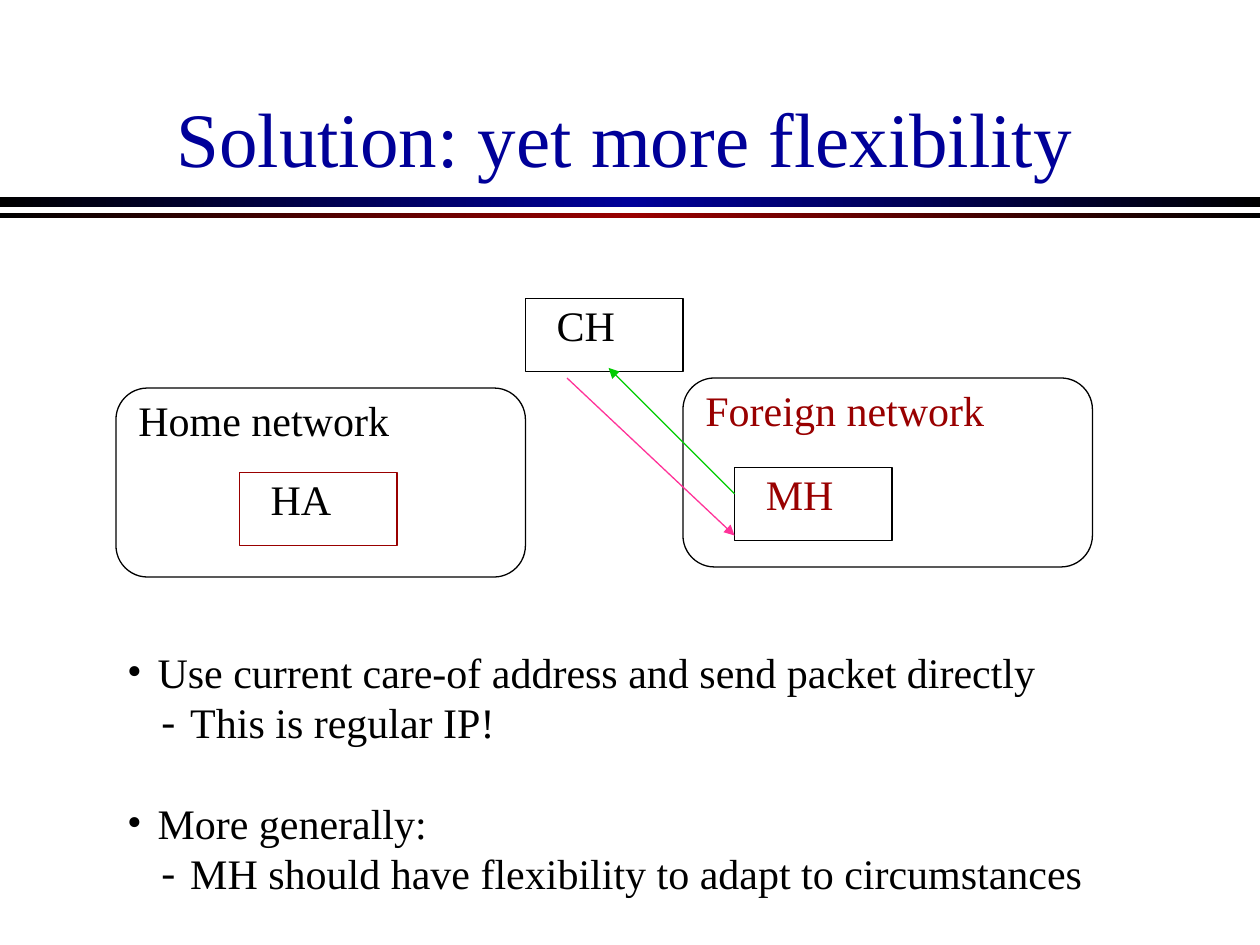
import copy

import lxml.etree
import pptx
import pptx.dml.color
import pptx.enum.shapes
import pptx.enum.text
import pptx.oxml.ns
import pptx.util

Inches = pptx.util.Inches
Pt = pptx.util.Pt
RGBColor = pptx.dml.color.RGBColor
Kind = pptx.enum.shapes.MSO_SHAPE
Align = pptx.enum.text.PP_ALIGN
Anchor = pptx.enum.text.MSO_ANCHOR
Fit = pptx.enum.text.MSO_AUTO_SIZE
qn = pptx.oxml.ns.qn

BLACK = RGBColor(0x00, 0x00, 0x00)
NAVY = RGBColor(0x00, 0x00, 0x99)
RED = RGBColor(0x99, 0x00, 0x00)
PINK = RGBColor(0xFF, 0x33, 0x99)
GREEN = RGBColor(0x00, 0xCC, 0x00)


class Deck:
    """Holds the style and the current slide."""

    font = "Times New Roman"
    size = 24
    pitch = 28.8
    levels = (("•", 0.24, 0.24), ("-", 0.5, 0.23))

    def __init__(self):
        self.show = pptx.Presentation()
        self.show.slide_width = Inches(10)
        self.show.slide_height = Inches(7.5)
        self.slide = self.show.slides.add_slide(self.show.slide_layouts[1])

    def place(self, shape, x, y, w, h):
        shape.left, shape.top = Inches(x), Inches(y)
        shape.width, shape.height = Inches(w), Inches(h)

    def run(self, para, text, color=BLACK, size=size):
        run = para.add_run()
        run.text = text
        run.font.name = self.font
        run.font.size = Pt(size)
        run.font.color.rgb = color

    def title(self, text):
        shape = self.slide.shapes.title
        self.place(shape, 0.67, 0.25, 8.58, 1.25)
        frame = shape.text_frame
        frame.auto_size = Fit.NONE
        frame.vertical_anchor = Anchor.BOTTOM
        para = frame.paragraphs[0]
        para.alignment = Align.CENTER
        self.run(para, text, NAVY, 44)

    def band(self, y, h, color):
        shape = self.slide.shapes.add_shape(
            Kind.RECTANGLE, 0, Inches(y), self.show.slide_width, Inches(h))
        shape.shadow.inherit = False
        shape.line.fill.background()
        shape.fill.gradient()
        shape.fill.gradient_angle = 0
        stops = shape._element.spPr.find(".//" + qn("a:gsLst"))
        stops.append(copy.deepcopy(stops[0]))
        tones = (BLACK, color, BLACK)
        for i, stop in enumerate(shape.fill.gradient_stops):
            stop.position = i / 2
            stop.color.rgb = tones[i]

    def box(self, kind, x, y, w, h, color=BLACK, width=0.75):
        shape = self.slide.shapes.add_shape(
            kind, Inches(x), Inches(y), Inches(w), Inches(h))
        shape.shadow.inherit = False
        shape.fill.background()
        shape.line.color.rgb = color
        shape.line.width = Pt(width)

    def label(self, text, x, y, w, color=BLACK):
        shape = self.slide.shapes.add_textbox(
            Inches(x), Inches(y), Inches(w), Inches(0.5))
        frame = shape.text_frame
        frame.word_wrap = False
        frame.auto_size = Fit.SHAPE_TO_FIT_TEXT
        self.run(frame.paragraphs[0], text, color)

    def net(self, text, x, y, w, color=BLACK):
        self.box(Kind.FLOWCHART_ALTERNATE_PROCESS, x, y, 3.25, 1.5)
        self.label(text, x + 0.08, y, w, color)

    def host(self, text, x, y, color=BLACK, edge=BLACK, width=0.75):
        self.box(Kind.RECTANGLE, x, y, 1.25, 0.58, edge, width)
        self.label(text, x + 0.15, y - 0.04, 0.76, color)

    def arrow(self, start, end, color):
        line = self.slide.shapes.add_connector(
            pptx.enum.shapes.MSO_CONNECTOR.STRAIGHT,
            *(Inches(v) for v in start + end))
        line.line.color.rgb = color
        line.line.width = Pt(0.75)
        props = line._element.spPr
        lxml.etree.SubElement(
            props.find(qn("a:ln")), qn("a:tailEnd"), type="triangle")
        lxml.etree.SubElement(props, qn("a:effectLst"))

    def body(self, items):
        shape = self.slide.placeholders[1]
        self.place(shape, 0.91, 5.08, 7.89, 2.1)
        frame = shape.text_frame
        frame.word_wrap = True
        frame.auto_size = Fit.NONE
        for i, (level, gap, text) in enumerate(items):
            para = frame.add_paragraph() if i else frame.paragraphs[0]
            para.level = level
            para.line_spacing = Pt(self.pitch)
            para.space_before = Pt(gap)
            mark, left, hang = self.levels[level]
            props = para._p.get_or_add_pPr()
            props.set("marL", str(Inches(left)))
            props.set("indent", str(-Inches(hang)))
            lxml.etree.SubElement(
                props, qn("a:buFont"), typeface=self.font)
            lxml.etree.SubElement(props, qn("a:buChar"), char=mark)
            self.run(para, text)


def main():
    deck = Deck()
    deck.band(1.56, 0.08, NAVY)
    deck.band(1.69, 0.04, RED)
    deck.title("Solution: yet more flexibility")
    deck.net("Home network", 0.92, 3.08, 2.2)
    deck.net("Foreign network", 5.42, 3, 2.42, RED)
    deck.host("HA", 1.9, 3.75, edge=RED, width=1)
    deck.host("CH", 4.17, 2.37)
    deck.host("MH", 5.83, 3.71, RED)
    deck.arrow((4.5, 3), (5.83, 4.25), PINK)
    deck.arrow((5.83, 3.92), (4.83, 2.92), GREEN)
    deck.body((
        (0, 0, "Use current care-of address and send packet directly"),
        (1, 0, "This is regular IP!"),
        (0, deck.pitch, "More generally:"),
        (1, 0, "MH should have flexibility to adapt to circumstances"),
    ))
    deck.show.save("out.pptx")


if __name__ == "__main__":
    main()
